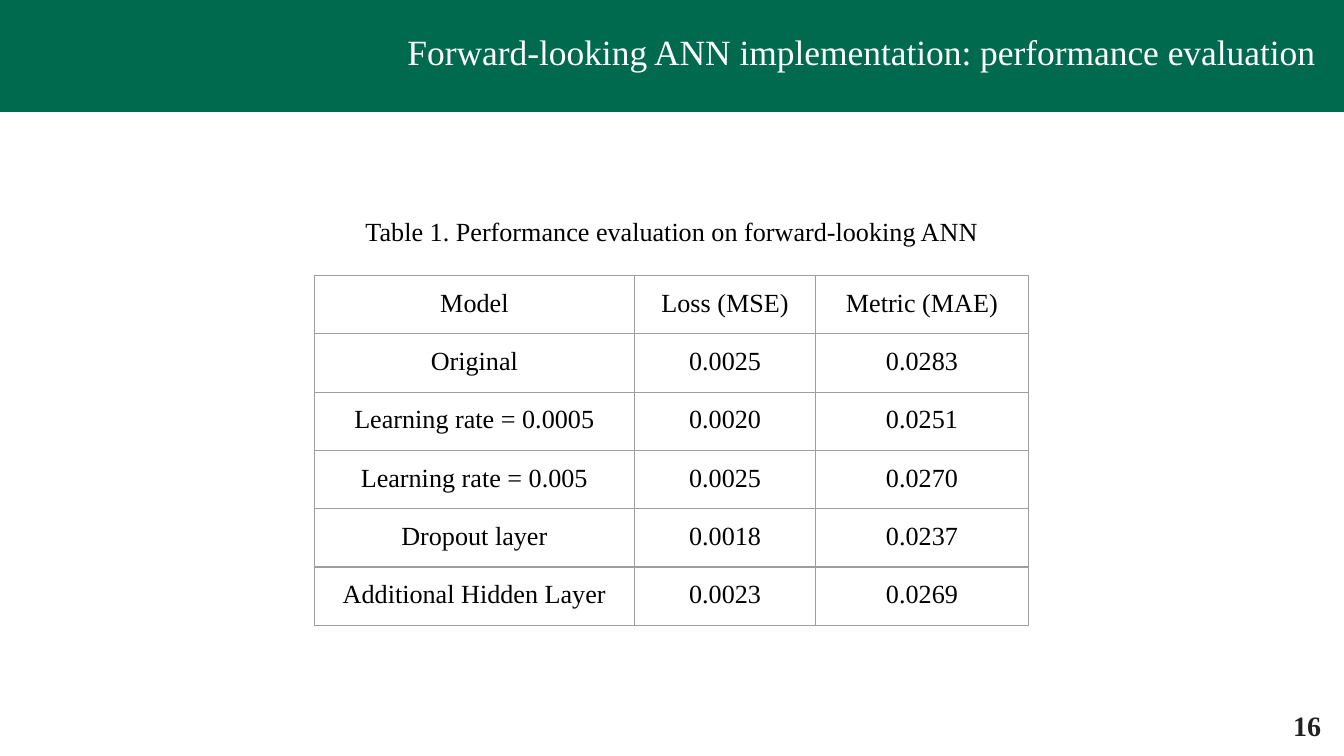
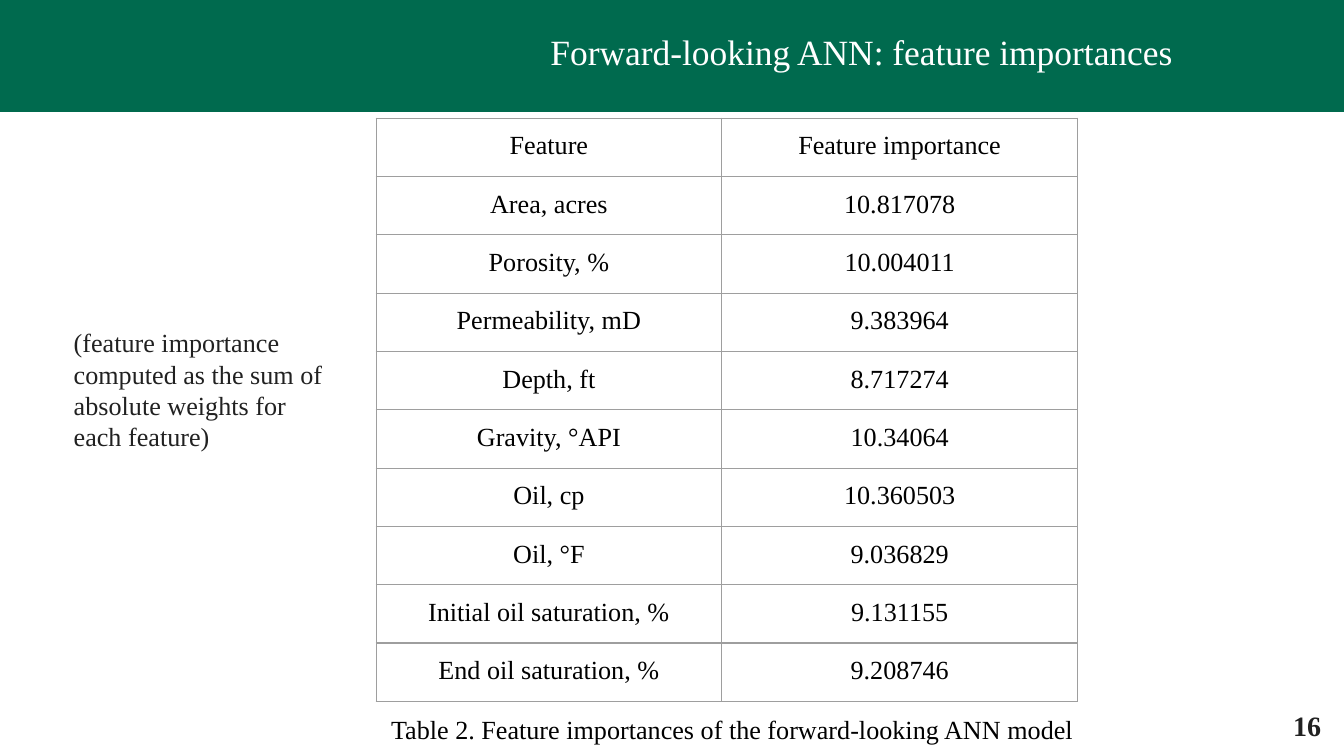
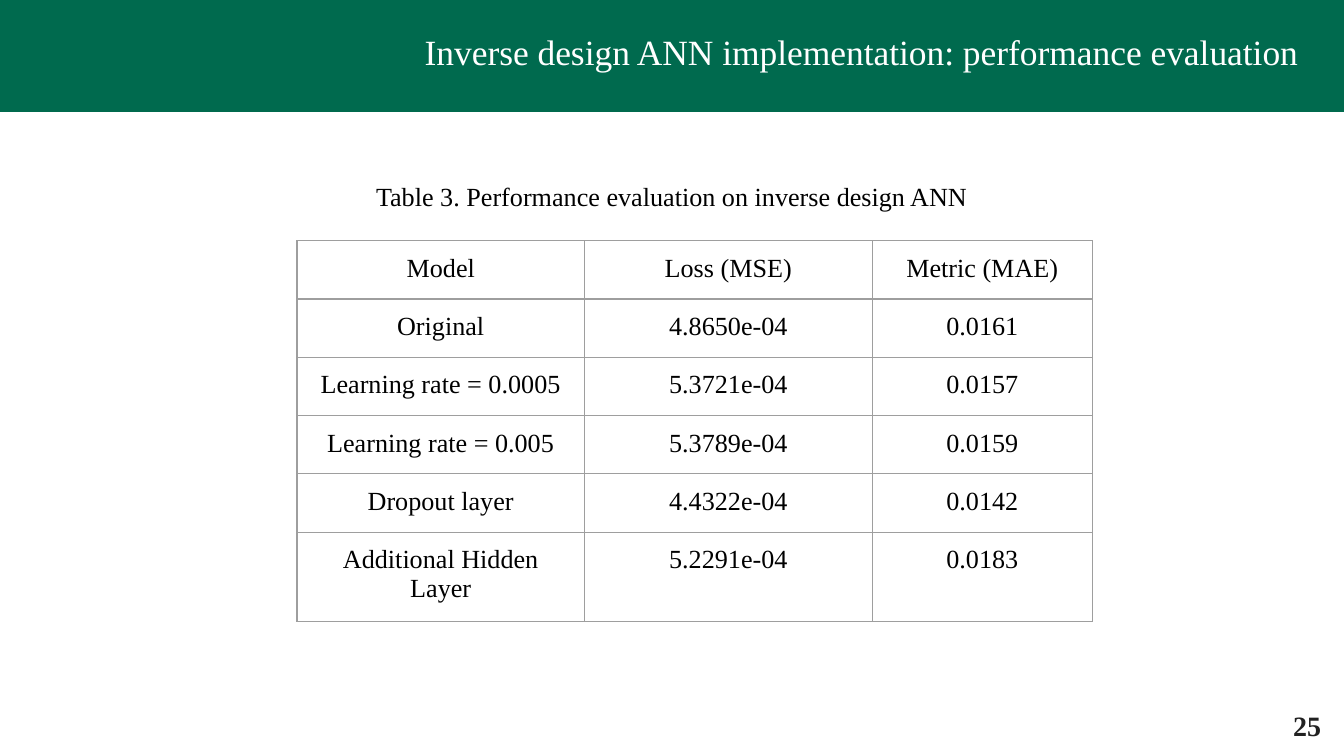
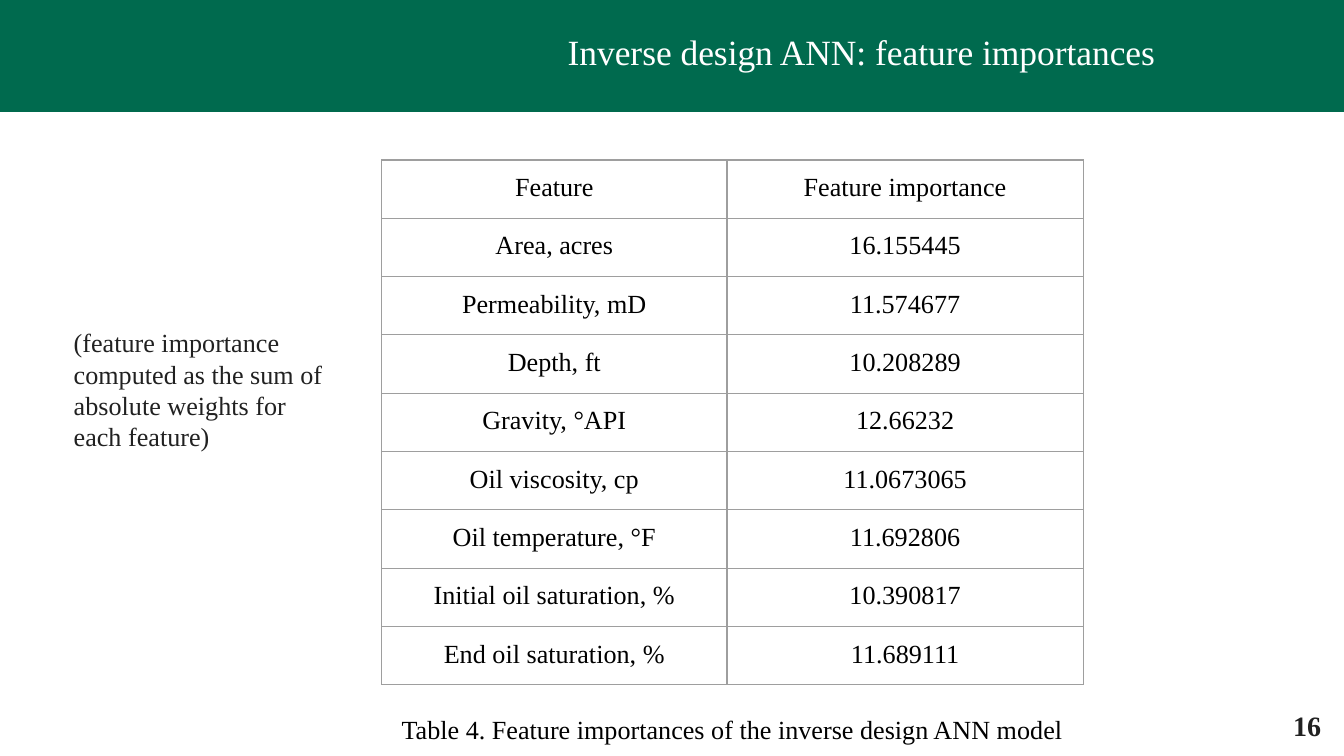
from lxml.etree import SubElement
from pptx import Presentation
from pptx.dml.color import RGBColor
from pptx.enum.shapes import MSO_SHAPE
from pptx.enum.text import MSO_ANCHOR, PP_ALIGN
from pptx.oxml.ns import qn
from pptx.util import Inches, Pt

GREEN, WHITE, BLACK, DARK, GREY = "006A4E", "FFFFFF", "000000", "212121", "9E9E9E"
FONT = "Times New Roman"
ROW = 0.42
CENTER, LEFT = PP_ALIGN.CENTER, PP_ALIGN.LEFT


def rgb(code):
    return RGBColor.from_string(code)


def write(frame, text, size, color, align=CENTER, bold=False):
    """Fill a text frame or a table cell's frame with one styled paragraph."""
    frame.text = text
    frame.word_wrap = True
    frame.vertical_anchor = MSO_ANCHOR.TOP
    frame.margin_left = frame.margin_right = Inches(0.1)
    frame.margin_top = frame.margin_bottom = Inches(0.1)
    para = frame.paragraphs[0]
    para.alignment = align
    font = para.runs[0].font
    font.name, font.size, font.bold = FONT, Pt(size), bold
    font.color.rgb = rgb(color)


# Content: title, page, caption and its place, table place, columns, rows
NOTE = "(feature importance computed as the sum of absolute weights for each feature)"
MODELS = ["Model", "Original", "Learning rate = 0.0005", "Learning rate = 0.005",
          "Dropout layer", "Additional Hidden Layer"]
LOSS, METRIC = "Loss (MSE)", "Metric (MAE)"
HEAD = ("Feature", "Feature importance")

pages = [
    dict(title="Forward-looking ANN implementation: performance evaluation", page="16",
         label="Table 1. Performance evaluation on forward-looking ANN",
         label_at=(2.09, 1.5), grid_at=(2.34, 2.05), cols=(2.38, 1.35, 1.58), note="",
         rows=list(zip(
             MODELS,
             [LOSS, "0.0025", "0.0020", "0.0025", "0.0018", "0.0023"],
             [METRIC, "0.0283", "0.0251", "0.0270", "0.0237", "0.0269"]))),
    dict(title="Forward-looking ANN: feature importances", page="16",
         label="Table 2. Feature importances of the forward-looking ANN model",
         label_at=(2.54, 5.21), grid_at=(2.8, 0.88), cols=(2.57, 2.65), note=NOTE,
         rows=[HEAD,
               ("Area, acres", "10.817078"),
               ("Porosity, %", "10.004011"),
               ("Permeability, mD", "9.383964"),
               ("Depth, ft", "8.717274"),
               ("Gravity, °API", "10.34064"),
               ("Oil, cp", "10.360503"),
               ("Oil, °F", "9.036829"),
               ("Initial oil saturation, %", "9.131155"),
               ("End oil saturation, %", "9.208746")]),
    dict(title="Inverse design ANN implementation: performance evaluation", page="25",
         label="Table 3. Performance evaluation on inverse design ANN",
         label_at=(2.09, 1.24), grid_at=(2.21, 1.79), cols=(2.14, 2.14, 1.64), note="",
         rows=list(zip(
             MODELS,
             [LOSS, "4.8650e-04", "5.3721e-04", "5.3789e-04", "4.4322e-04", "5.2291e-04"],
             [METRIC, "0.0161", "0.0157", "0.0159", "0.0142", "0.0183"]))),
    dict(title="Inverse design ANN: feature importances", page="16",
         label="Table 4. Feature importances of the inverse design ANN model",
         label_at=(2.54, 5.21), grid_at=(2.84, 1.19), cols=(2.57, 2.65), note=NOTE,
         rows=[HEAD,
               ("Area, acres", "16.155445"),
               ("Permeability, mD", "11.574677"),
               ("Depth, ft", "10.208289"),
               ("Gravity, °API", "12.66232"),
               ("Oil viscosity, cp", "11.0673065"),
               ("Oil temperature, °F", "11.692806"),
               ("Initial oil saturation, %", "10.390817"),
               ("End oil saturation, %", "11.689111")]),
]

# Widescreen deck, 16:9
deck = Presentation()
deck.slide_width = Inches(10)
deck.slide_height = Inches(10 * 9 / 16)
layout = deck.slide_layouts[5]

# Layout: keep only the title placeholder
for holder in list(layout.placeholders):
    if holder.placeholder_format.idx != 0:
        holder.element.getparent().remove(holder.element)

for num, page in enumerate(pages):
    slide = deck.slides.add_slide(layout)
    shapes = slide.shapes

    # Shared bands, drawn once and moved behind the layout's title
    if num == 0:
        bands = [(0.83, 4.8, WHITE, 2), (0, 0.83, GREEN, 0.75)]
        for spot, (top, height, color, width) in enumerate(bands, 2):
            band = shapes.add_shape(MSO_SHAPE.RECTANGLE, 0, Inches(top),
                                    Inches(10), Inches(height))
            band.shadow.inherit = False
            band.fill.solid()
            band.fill.fore_color.rgb = rgb(color)
            band.line.color.rgb = rgb(color)
            band.line.width = Pt(width)
            layout.shapes.element.insert(spot, band.element)

    # Title
    title = shapes.title
    title.left, title.top = Inches(2.89), Inches(0.12)
    title.width, title.height = Inches(7.04), Inches(0.66)
    write(title.text_frame, page["title"], 19, WHITE)

    # Page number and caption
    box = shapes.add_textbox(Inches(9.45), Inches(5.17), Inches(0.55), Inches(0.45))
    write(box.text_frame, page["page"], 15, DARK, bold=True)
    left, top = page["label_at"]
    box = shapes.add_textbox(Inches(left), Inches(top), Inches(5.82), Inches(0.47))
    write(box.text_frame, page["label"], 14, BLACK)

    # Table
    rows, cols = page["rows"], page["cols"]
    left, top = page["grid_at"]
    grid = shapes.add_table(len(rows), len(cols), Inches(left), Inches(top),
                            Inches(sum(cols)), Inches(ROW * len(rows))).table
    grid.first_row = grid.horz_banding = False
    for col, width in zip(grid.columns, cols):
        col.width = Inches(width)
    for row, texts in zip(grid.rows, rows):
        row.height = Inches(ROW)
        for cell, text in zip(row.cells, texts):
            write(cell.text_frame, text, 14, BLACK)
            cell.margin_left = cell.margin_right = Inches(0.1)
            cell.margin_top = cell.margin_bottom = Inches(0.1)
            props = cell._tc.get_or_add_tcPr()
            for side in ("lnL", "lnR", "lnT", "lnB"):
                line = SubElement(props, qn(f"a:{side}"), w=str(Pt(0.75)))
                fill = SubElement(line, qn("a:solidFill"))
                SubElement(fill, qn("a:srgbClr"), val=GREY)
            cell.fill.background()

    # Side note
    if page["note"]:
        box = shapes.add_textbox(Inches(0.45), Inches(2.33), Inches(2.09), Inches(1.27))
        write(box.text_frame, page["note"], 14, DARK, LEFT)

deck.save("out.pptx")
